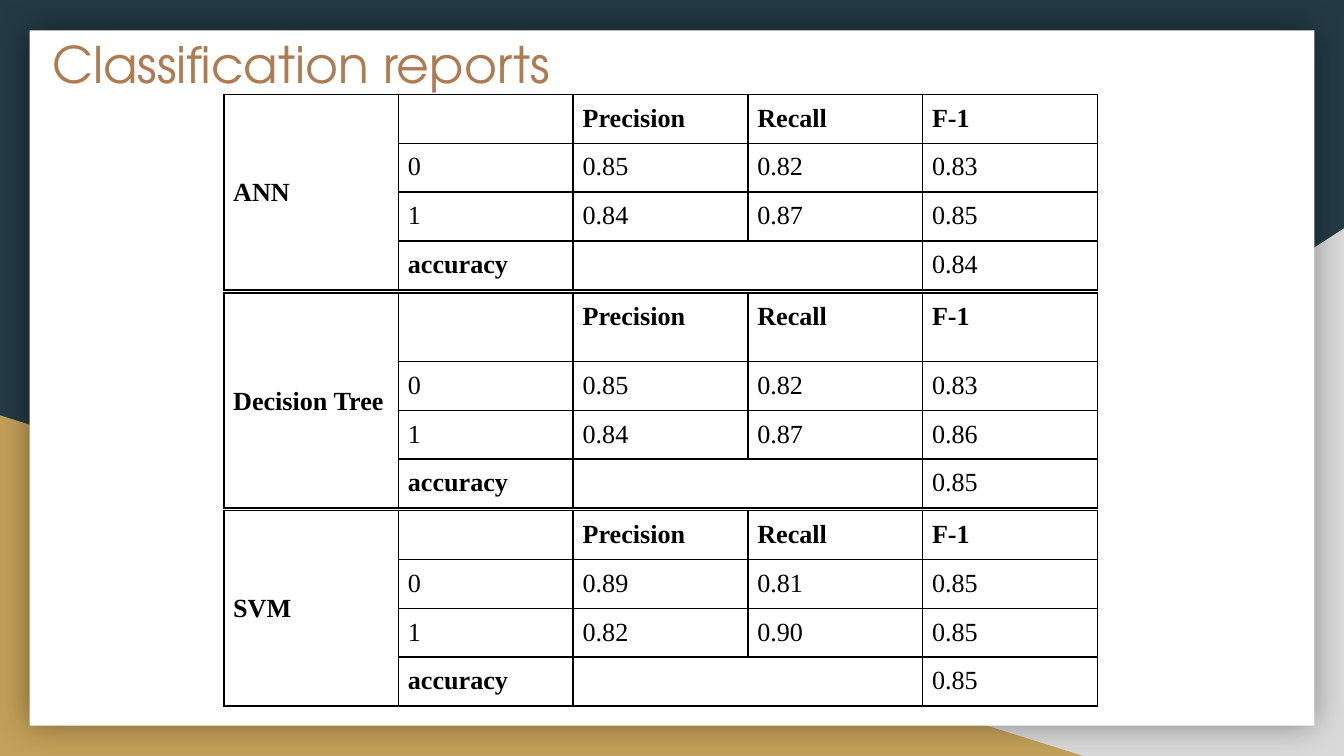
from dataclasses import dataclass

from lxml import etree
from pptx import Presentation
from pptx import util as u
from pptx.dml.color import RGBColor
from pptx.enum import shapes, text
from pptx.oxml import ns


@dataclass(frozen=True)
class Theme:
    night: str = "233A44"
    grey: str = "D9D9D9"
    gold: str = "C4A15A"
    paper: str = "FFFFFF"
    ink: str = "000000"
    heading: str = "AF7B51"
    heading_font: str = "TeX Gyre Adventor"
    body_font: str = "Times New Roman"
    heading_size: int = 27
    body_size: int = 14
    border: int = 1


def write(frame, words, *, font, size, color, bold=False):
    """Put one formatted run in a text frame; an empty one keeps its size."""
    paragraph = frame.paragraphs[0]
    if not words:
        end = etree.SubElement(paragraph._p, ns.qn("a:endParaRPr"))
        end.set("sz", str(size * 100))
        return
    run = paragraph.add_run()
    run.text = words
    run.font.name = font
    run.font.size = u.Pt(size)
    run.font.bold = bold
    run.font.color.rgb = RGBColor.from_string(color)


class Deck:
    """Style and current slide; lengths are in cells of a 100-column grid."""

    COLUMNS = 100

    def __init__(self, theme):
        self.theme = theme
        self.presentation = Presentation()
        self.presentation.slide_width = u.Inches(10)
        self.presentation.slide_height = u.Inches(10 * 9 / 16)
        self.unit = self.presentation.slide_width / self.COLUMNS
        self.slide = self.presentation.slides.add_slide(
            self.presentation.slide_layouts[6])
        fill = self.slide.background.fill
        fill.solid()
        fill.fore_color.rgb = RGBColor.from_string(theme.night)

    def grid(self, *lengths):
        return [u.Emu(round(length * self.unit)) for length in lengths]

    def shape(self, kind, box, color, flip=False):
        shape = self.slide.shapes.add_shape(kind, *self.grid(*box))
        shape.shadow.inherit = False
        shape.fill.solid()
        shape.fill.fore_color.rgb = RGBColor.from_string(color)
        shape.line.fill.background()
        if flip:
            shape._element.spPr.find(ns.qn("a:xfrm")).set("flipH", "1")
        return shape

    def glow(self, shape, blur, opacity):
        effects = shape._element.spPr.find(ns.qn("a:effectLst"))
        shadow = etree.SubElement(
            effects, ns.qn("a:outerShdw"), blurRad=str(u.Pt(blur)),
            dist="0", dir="0", algn="ctr", rotWithShape="0")
        color = etree.SubElement(
            shadow, ns.qn("a:srgbClr"), val=self.theme.ink)
        etree.SubElement(color, ns.qn("a:alpha"), val=str(opacity * 1000))

    def title(self, words, box):
        frame = self.slide.shapes.add_textbox(*self.grid(*box)).text_frame
        frame.word_wrap = True
        frame.margin_left = frame.margin_right = u.Inches(0.1)
        frame.margin_top = frame.margin_bottom = u.Inches(0.1)
        write(frame, words, font=self.theme.heading_font,
              size=self.theme.heading_size, color=self.theme.heading)

    def borders(self, cell):
        properties = cell._tc.get_or_add_tcPr()
        for position, side in enumerate(("lnL", "lnR", "lnT", "lnB")):
            line = etree.Element(
                ns.qn(f"a:{side}"), w=str(u.Pt(self.theme.border)))
            fill = etree.SubElement(line, ns.qn("a:solidFill"))
            etree.SubElement(fill, ns.qn("a:srgbClr"), val=self.theme.ink)
            properties.insert(position, line)

    def report(self, model, scores, accuracy, top, header, row):
        """Table of one model: header, a row per class, and accuracy."""
        content = [[model, "", "Precision", "Recall", "F-1"]]
        content += [["", str(label), *values]
                    for label, values in enumerate(scores)]
        content.append(["", "accuracy", "", "", accuracy])
        heights = [header] + [row] * (len(content) - 1)
        table = self.slide.shapes.add_table(
            len(content), len(content[0]),
            *self.grid(16.65, top, 65, sum(heights))).table
        table.first_row = table.horz_banding = False
        for line, height in zip(table.rows, self.grid(*heights)):
            line.height = height

        last = len(content) - 1
        for r, entries in enumerate(content):
            for c, words in enumerate(entries):
                cell = table.cell(r, c)
                cell.margin_left = cell.margin_right = u.Inches(0.07)
                cell.margin_top = u.Inches(0.07)
                cell.margin_bottom = u.Inches(0.06)
                cell.fill.background()
                self.borders(cell)
                write(cell.text_frame, words, font=self.theme.body_font,
                      size=self.theme.body_size, color=self.theme.ink,
                      bold=r == 0 or words == "accuracy")
        table.cell(0, 0).vertical_anchor = text.MSO_ANCHOR.MIDDLE
        table.cell(0, 0).merge(table.cell(last, 0))
        table.cell(last, 2).merge(table.cell(last, 3))


def main():
    theme = Theme()
    deck = Deck(theme)
    kinds = shapes.MSO_SHAPE

    # Backdrop: two corner triangles and a sheet of paper
    deck.shape(kinds.RIGHT_TRIANGLE, (39.2, 17, 60.8, 39.25), theme.grey,
               flip=True)
    deck.shape(kinds.RIGHT_TRIANGLE, (0, 30.9, 80.6, 25.35), theme.gold)
    paper = deck.shape(kinds.RECTANGLE, (2.2, 2.25, 95.6, 51.75), theme.paper)
    deck.glow(paper, blur=18, opacity=40)

    # Heading
    deck.title("Classification reports", (2.9, 1.45, 44.4, 5.6))

    # One report per model
    row = 3.54
    deck.report("ANN", [("0.85", "0.82", "0.83"), ("0.84", "0.87", "0.85")],
                "0.84", top=7.03, header=row, row=row)
    deck.report("Decision Tree",
                [("0.85", "0.82", "0.83"), ("0.84", "0.87", "0.86")],
                "0.85", top=21.82, header=5.09, row=row)
    deck.report("SVM", [("0.89", "0.81", "0.85"), ("0.82", "0.90", "0.85")],
                "0.85", top=38, header=row, row=row)

    deck.presentation.save("out.pptx")


if __name__ == "__main__":
    main()
